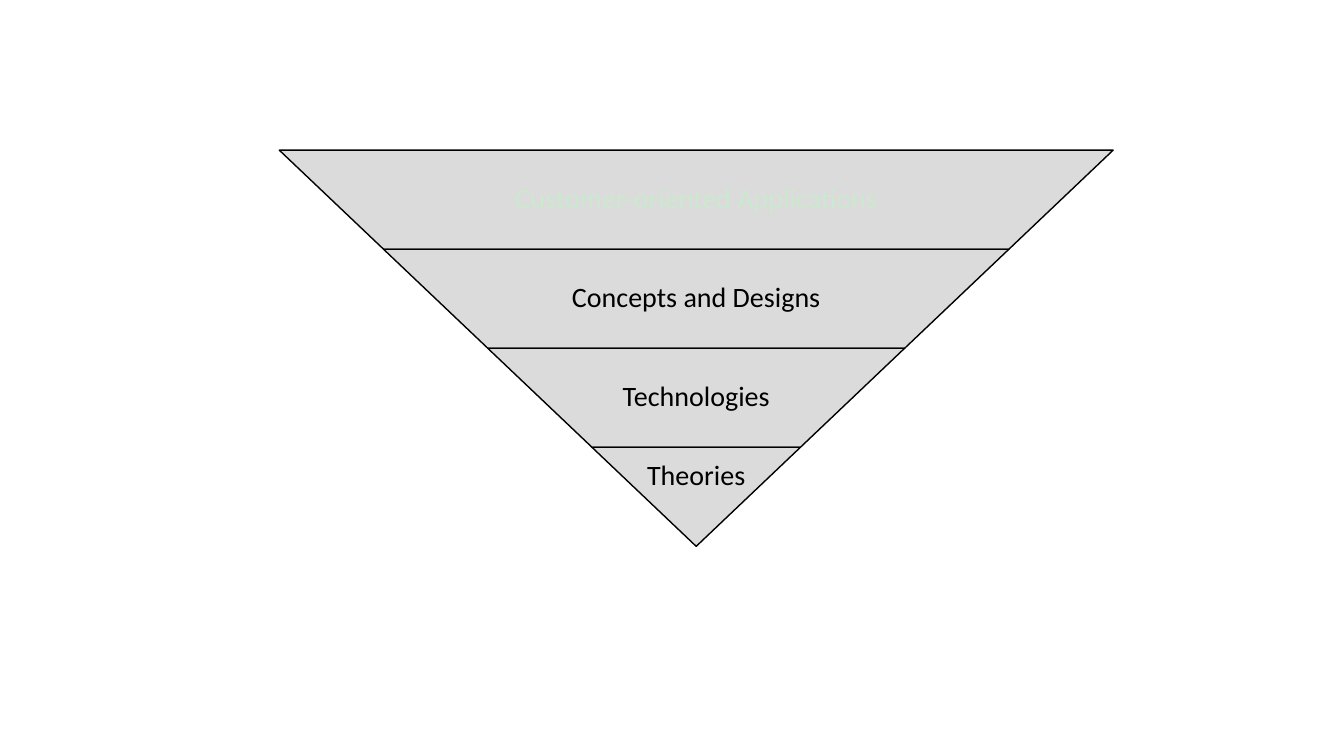
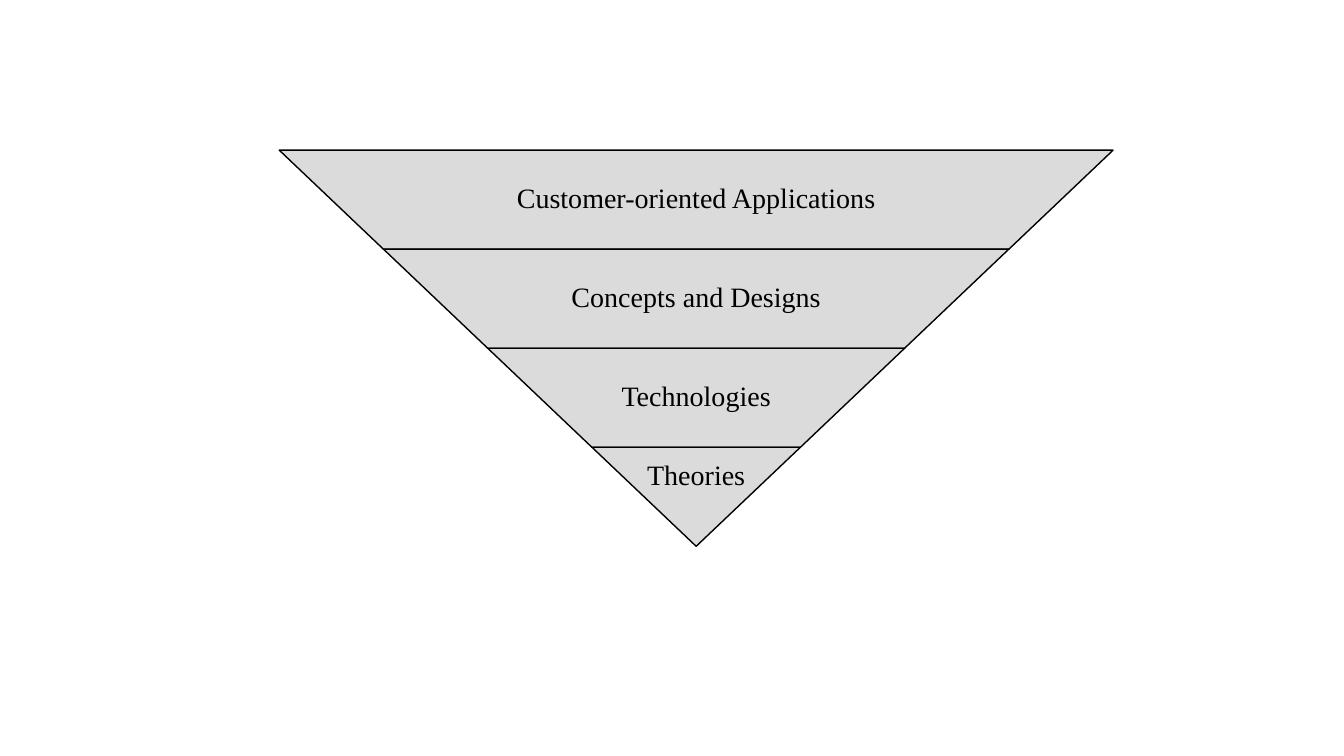
"""Build two slides with an inverted four-level pyramid, one in Calibri and one in Times New Roman."""
from pptx import Presentation
from pptx.dml.color import RGBColor
from pptx.enum.shapes import MSO_SHAPE
from pptx.enum.text import MSO_ANCHOR, PP_ALIGN
from pptx.util import Inches, Pt

COLORS = {"background": "FFFFFF", "band": "DBDBDB", "ink": "000000", "pale": "CCE8CF"}
LEVELS = ["Customer-oriented Applications", "Concepts and Designs", "Technologies", "Theories"]
LEFT, TOP, WIDTH, HEIGHT = 2.77, 1.49, 8.27, 3.93
STEP = HEIGHT / len(LEVELS)
SLANT = WIDTH / len(LEVELS) / 2
INSET = 0.03
SIDE_SHARE = 0.175
TIP_LIFT = 0.4


def paint(shape):
    """Give a pyramid band its grey fill and thin outline."""
    shape.shadow.inherit = False
    shape.fill.solid()
    shape.fill.fore_color.rgb = RGBColor.from_string(COLORS["band"])
    shape.line.color.rgb = RGBColor.from_string(COLORS["ink"])
    shape.line.width = Pt(1)


def write(box, text, font="Calibri", color="ink", side=0, lift=0):
    """Write one centred label into a box."""
    frame = box.text_frame
    frame.word_wrap = True
    frame.vertical_anchor = MSO_ANCHOR.MIDDLE
    frame.margin_left = frame.margin_right = Inches(INSET + side)
    frame.margin_top = Inches(INSET)
    frame.margin_bottom = Inches(INSET + lift)
    para = frame.paragraphs[0]
    para.alignment = PP_ALIGN.CENTER
    para.line_spacing = 0.9
    para.space_after = Pt(7)
    span = para.add_run()
    span.text = text
    span.font.name = font
    span.font.size = Pt(20)
    span.font.color.rgb = RGBColor.from_string(COLORS[color])


deck = Presentation()
deck.slide_width, deck.slide_height = Inches(13.33), Inches(7.5)

for font in ("Calibri", "Times New Roman"):
    page = deck.slides.add_slide(deck.slide_layouts[6])
    page.background.fill.solid()
    page.background.fill.fore_color.rgb = RGBColor.from_string(COLORS["background"])
    pyramid = page.shapes.add_group_shape().shapes

    for level, text in enumerate(LEVELS):
        is_tip = level == len(LEVELS) - 1
        left, top = LEFT + level * SLANT, TOP + level * STEP
        width = WIDTH - 2 * level * SLANT
        right, bottom = left + width, top + STEP
        side = 0 if is_tip else width * SIDE_SHARE
        lift = TIP_LIFT if is_tip else 0

        if font == "Calibri":
            band = pyramid.add_shape(MSO_SHAPE.TRAPEZOID, Inches(left), Inches(top),
                                     Inches(width), Inches(STEP))
            band.rotation = 180
            band.adjustments[0] = SLANT / STEP
            paint(band)
            label = pyramid.add_textbox(Inches(left + side), Inches(top),
                                        Inches(width - 2 * side), Inches(STEP))
            write(label, text, font=font, color="pale" if level == 0 else "ink", lift=lift)
        else:
            corners = [(right - SLANT, bottom), (left + SLANT, bottom), (left, top)]
            outline = pyramid.build_freeform(Inches(right), Inches(top))
            outline.add_line_segments([(Inches(x), Inches(y)) for x, y in corners], close=True)
            band = outline.convert_to_shape()
            paint(band)
            write(band, text, font=font, side=side, lift=lift)

deck.save("out.pptx")
